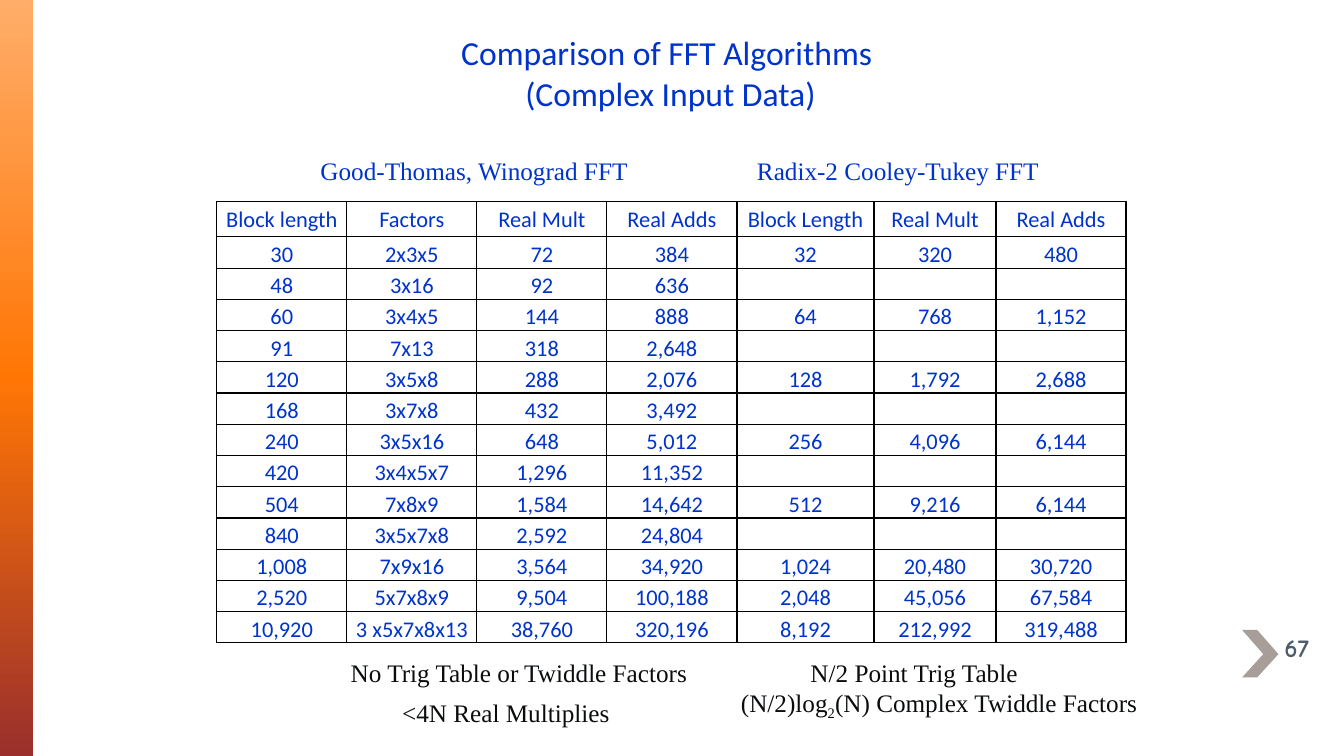
from copy import deepcopy
from dataclasses import dataclass

from lxml import etree
from pptx import Presentation
from pptx import util as u
from pptx.dml import color
from pptx.enum import shapes, text
from pptx.oxml import ns


@dataclass(frozen=True)
class Theme:
    blue: str = "0033CC"
    ink: str = "0A0C0E"
    slate: str = "4D5B6B"
    taupe: str = "A79D99"
    border: str = "000000"
    bar: tuple = ("FFAD69", "FF7605", "9A2F2C")
    sans: str = "Calibri"
    serif: str = "Times New Roman"
    number: str = "Comic Neue"
    title_size: int = 24
    label_size: int = 18
    cell_size: int = 16


class Slide:
    def __init__(self, prs, theme):
        self.theme = theme
        self.s = prs.slides.add_slide(prs.slide_layouts[6])

    def apply(self, obj, **values):
        for name, value in values.items():
            setattr(obj, name, value)

    def run(self, p, words, font, size, rgb, bold=False, baseline=None):
        r = p.add_run()
        r.text = words
        self.apply(r.font, name=font, size=u.Pt(size), bold=bold)
        r.font.color.rgb = color.RGBColor.from_string(rgb)
        if baseline:
            r.font._element.set("baseline", str(baseline))

    def box(self, at, wrap=True, anchor=text.MSO_ANCHOR.TOP):
        tf = self.s.shapes.add_textbox(*map(u.Inches, at)).text_frame
        self.apply(tf, word_wrap=wrap, vertical_anchor=anchor)
        return tf

    def title(self, at, lines):
        p = self.box(at, anchor=text.MSO_ANCHOR.BOTTOM).paragraphs[0]
        p.alignment = text.PP_ALIGN.CENTER
        for i, line in enumerate(lines):
            if i:
                p.add_line_break()
            self.run(p, line, self.theme.sans, self.theme.title_size, self.theme.blue)

    def label(self, at, words, rgb, wrap=False):
        tf = self.box(at, wrap)
        self.run(tf.paragraphs[0], words, self.theme.serif, self.theme.label_size, rgb)
        return tf

    def page_number(self, at, number):
        p = self.box(at, anchor=text.MSO_ANCHOR.MIDDLE).paragraphs[0]
        self.run(p, number, self.theme.number, self.theme.label_size, self.theme.slate, bold=True)

    def gradient_bar(self, at, colors):
        sp = self.s.shapes.add_shape(shapes.MSO_SHAPE.RECTANGLE, *map(u.Inches, at))
        sp.shadow.inherit = False
        sp.line.fill.background()
        sp.fill.gradient()
        sp.fill.gradient_angle = 270
        stops = sp._element.spPr.find(".//" + ns.qn("a:gsLst"))
        stops.append(deepcopy(stops[-1]))
        for i, (stop, rgb) in enumerate(zip(sp.fill.gradient_stops, colors)):
            stop.position = i / (len(colors) - 1)
            stop.color.rgb = color.RGBColor.from_string(rgb)

    def outline(self, points, rgb):
        points = [tuple(map(u.Inches, point)) for point in points]
        builder = self.s.shapes.build_freeform(*points[0])
        builder.add_line_segments(points[1:], close=True)
        sp = builder.convert_to_shape()
        sp.shadow.inherit = False
        sp.line.fill.background()
        sp.fill.solid()
        sp.fill.fore_color.rgb = color.RGBColor.from_string(rgb)

    def cell(self, cell, words):
        self.apply(cell, margin_left=u.Inches(0.07), margin_right=u.Inches(0.07),
                   margin_top=0, margin_bottom=0)
        if words:
            p = cell.text_frame.paragraphs[0]
            self.apply(p, alignment=text.PP_ALIGN.CENTER, line_spacing=1.15)
            self.run(p, words, self.theme.sans, self.theme.cell_size, self.theme.blue)
        tcPr = cell._tc.get_or_add_tcPr()
        for side in ("lnL", "lnR", "lnT", "lnB"):
            ln = etree.SubElement(tcPr, ns.qn("a:" + side), w=str(u.Pt(1)))
            fill = etree.SubElement(ln, ns.qn("a:solidFill"))
            etree.SubElement(fill, ns.qn("a:srgbClr"), val=self.theme.border)
        cell.fill.background()

    def table(self, left, top, widths, heights, rows):
        table = self.s.shapes.add_table(
            len(rows), len(widths), u.Inches(left), u.Inches(top),
            u.Inches(sum(widths)), u.Inches(sum(heights))).table
        self.apply(table, first_row=False, horz_banding=False)
        for column, width in zip(table.columns, widths):
            column.width = u.Inches(width)
        for row, height, values in zip(table.rows, heights, rows):
            row.height = u.Inches(height)
            for cell, words in zip(row.cells, values):
                self.cell(cell, words)


HEADER = ["Block length", "Factors", "Real Mult", "Real Adds",
          "Block Length", "Real Mult", "Real Adds"]
NONE = ["", "", ""]
ROWS = [
    ["30", "2x3x5", "72", "384", "32", "320", "480"],
    ["48", "3x16", "92", "636", *NONE],
    ["60", "3x4x5", "144", "888", "64", "768", "1,152"],
    ["91", "7x13", "318", "2,648", *NONE],
    ["120", "3x5x8", "288", "2,076", "128", "1,792", "2,688"],
    ["168", "3x7x8", "432", "3,492", *NONE],
    ["240", "3x5x16", "648", "5,012", "256", "4,096", "6,144"],
    ["420", "3x4x5x7", "1,296", "11,352", *NONE],
    ["504", "7x8x9", "1,584", "14,642", "512", "9,216", "6,144"],
    ["840", "3x5x7x8", "2,592", "24,804", *NONE],
    ["1,008", "7x9x16", "3,564", "34,920", "1,024", "20,480", "30,720"],
    ["2,520", "5x7x8x9", "9,504", "100,188", "2,048", "45,056", "67,584"],
    ["10,920", "3 x5x7x8x13", "38,760", "320,196", "8,192", "212,992", "319,488"],
]
CHEVRON = [(12.47, 6.25), (12.32, 6.25), (12.53, 6.49),
           (12.32, 6.72), (12.47, 6.72), (12.68, 6.49)]


def main():
    prs = Presentation()
    prs.slide_width, prs.slide_height = u.Inches(13.33), u.Inches(7.5)
    theme = Theme()
    slide = Slide(prs, theme)
    slide.gradient_bar((0, 0, 0.33, 7.5), theme.bar)
    slide.outline(CHEVRON, theme.taupe)
    slide.title((3.36, 0.25, 6.58, 0.92),
                ["Comparison of FFT Algorithms ", "(Complex Input Data)"])
    slide.page_number((12.64, 6.17, 0.69, 0.5), "67")
    slide.table(2.15, 2, [1.29] * 4 + [1.36, 1.21, 1.29],
                [0.35] + [0.31] * len(ROWS), [HEADER] + ROWS)
    slide.label((3.08, 1.49, 3.28, 0.4), "Good-Thomas, Winograd FFT", theme.blue)
    slide.label((7.41, 1.49, 3.03, 0.4), "Radix-2 Cooley-Tukey FFT", theme.blue)
    slide.label((3.38, 6.47, 3.57, 0.4), "No Trig Table or Twiddle Factors", theme.ink)
    slide.label((3.89, 6.87, 2.55, 0.4), "<4N Real Multiplies", theme.ink, wrap=True)
    tf = slide.label((7.25, 6.47, 4.18, 0.71), "N/2 Point Trig Table", theme.ink)
    tf.paragraphs[0]._p.get_or_add_pPr().set("marL", str(u.Inches(0.69)))
    p = tf.add_paragraph()
    for words, baseline in (("(N/2)log", None), ("2", -25000),
                            ("(N) Complex Twiddle Factors", None)):
        slide.run(p, words, theme.serif, theme.label_size, theme.ink, baseline=baseline)
    prs.save("out.pptx")


if __name__ == "__main__":
    main()
